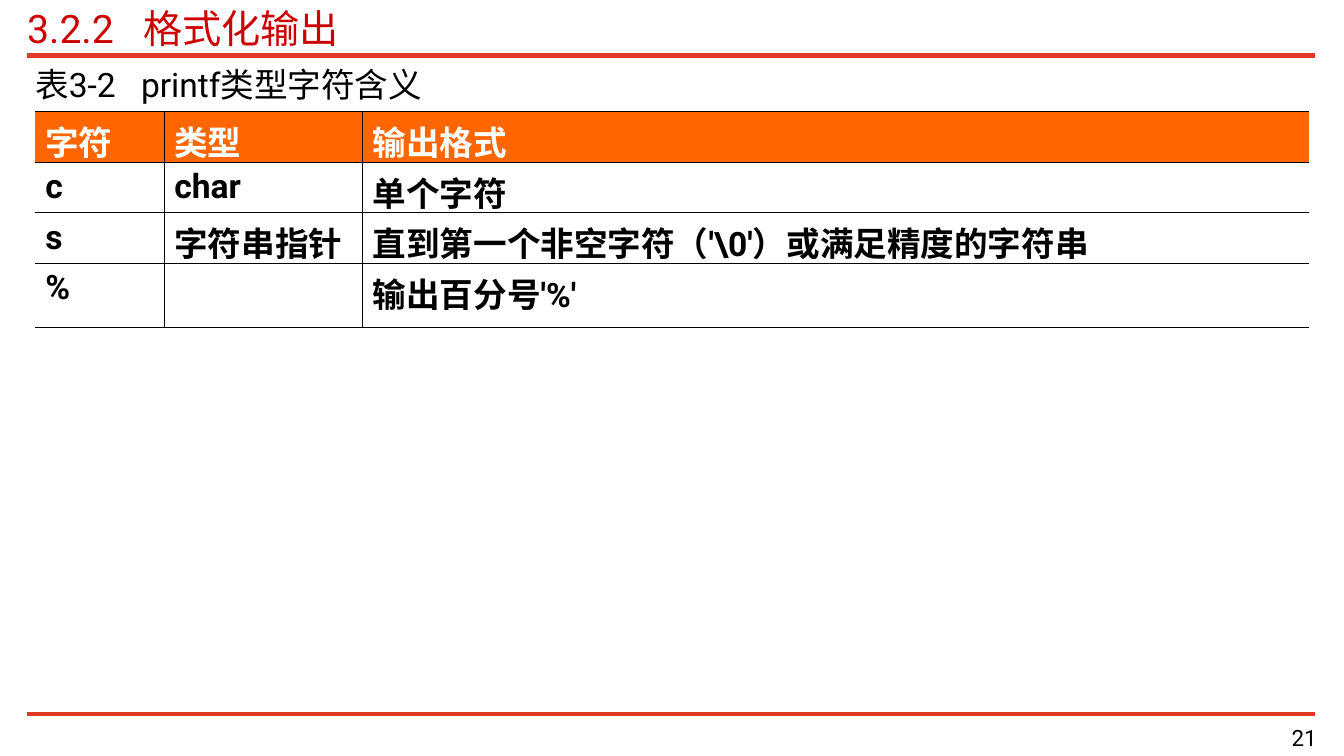
from lxml import etree
from pptx import Presentation
from pptx.dml.color import RGBColor
from pptx.enum.shapes import MSO_CONNECTOR
from pptx.enum.text import MSO_ANCHOR, PP_ALIGN
from pptx.oxml.ns import qn
from pptx.util import Inches, Pt

# Content
TITLE = "3.2.2\t格式化输出"
CAPTION = "表3-2\tprintf类型字符含义"
PAGE = "21"
ROWS = [
    ("字符", "类型", "输出格式"),
    ("c", "char", "单个字符"),
    ("s", "字符串指针", "直到第一个非空字符（'\\0'）或满足精度的字符串"),
    ("%", "", "输出百分号'%'"),
]
COLUMN_WIDTHS = (1.28, 1.97, 9.39)
ROW_HEIGHTS = (0.5, 0.5, 0.5, 0.64)
RULES = [(0.55, 4), (7.08, 3)]  # height on the slide, line width
FONT = "Roboto"
BLACK, WHITE, RED, RULE_RED, ORANGE = "000000", "FFFFFF", "CC0000", "E13A23", "FF6600"


def rgb(code):
    return RGBColor.from_string(code)


def style(paragraph, size, color, bold=False):
    for run in paragraph.runs:
        run.font.name, run.font.size, run.font.bold = FONT, Pt(size), bold
        run.font.color.rgb = rgb(color)


def add_label(box, text, size, color, tab=None, align=PP_ALIGN.LEFT):
    frame = slide.shapes.add_textbox(*map(Inches, box)).text_frame
    frame.word_wrap = True
    frame.vertical_anchor = MSO_ANCHOR.MIDDLE
    frame.margin_left = frame.margin_right = frame.margin_top = frame.margin_bottom = 0
    frame.text = text
    paragraph = frame.paragraphs[0]
    paragraph.alignment = align
    if tab:
        stops = etree.SubElement(paragraph._p.get_or_add_pPr(), qn("a:tabLst"))
        etree.SubElement(stops, qn("a:tab"), pos=str(Inches(tab)), algn="l")
    style(paragraph, size, color)


def set_borders(cell, widths):
    """Draw the given sides; a width of None leaves the side open."""
    properties = cell._tc.get_or_add_tcPr()
    for index, (side, width) in enumerate(widths.items()):
        line = etree.Element(qn("a:" + side), w=str(Pt(width or 0)))
        if width:
            fill = etree.SubElement(line, qn("a:solidFill"))
            etree.SubElement(fill, qn("a:srgbClr"), val=BLACK)
        else:
            etree.SubElement(line, qn("a:noFill"))
        properties.insert(index, line)


presentation = Presentation()
presentation.slide_width, presentation.slide_height = Inches(13.34), Inches(7.5)
slide = presentation.slides.add_slide(presentation.slide_layouts[6])

# Red rules
for y, width in RULES:
    rule = slide.shapes.add_connector(
        MSO_CONNECTOR.STRAIGHT, Inches(0.27), Inches(y), Inches(13.05), Inches(y))
    rule.line.color.rgb = rgb(RULE_RED)
    rule.line.width = Pt(width)
    etree.SubElement(rule._element.spPr, qn("a:effectLst"))

# Title, table caption and page number
add_label((0.27, 0.04, 12.78, 0.47), TITLE, 28, RED, tab=1.15)
add_label((0.35, 0.63, 12.64, 0.4), CAPTION, 24, BLACK, tab=1.05)
add_label((10.39, 7.16, 2.68, 0.31), PAGE, 16, BLACK, align=PP_ALIGN.RIGHT)

# Table of type characters
last_row, last_column = len(ROWS) - 1, len(COLUMN_WIDTHS) - 1
table = slide.shapes.add_table(
    len(ROWS), len(COLUMN_WIDTHS), Inches(0.35), Inches(1.11),
    Inches(sum(COLUMN_WIDTHS)), Inches(sum(ROW_HEIGHTS))).table
for column, width in zip(table.columns, COLUMN_WIDTHS):
    column.width = Inches(width)
for r, (texts, height) in enumerate(zip(ROWS, ROW_HEIGHTS)):
    table.rows[r].height = Inches(height)
    for c, text in enumerate(texts):
        cell = table.cell(r, c)
        cell.text = text
        style(cell.text_frame.paragraphs[0], 24, BLACK if r else WHITE, bold=True)
        if r == 0:
            cell.fill.solid()
            cell.fill.fore_color.rgb = rgb(ORANGE)
        else:
            cell.fill.background()
        set_borders(cell, {
            "lnL": 0.45 if c > 0 else None,
            "lnR": 0.45 if c < last_column else None,
            "lnT": 0.62 if r < 2 else 0.45,
            "lnB": 0.62 if r in (0, last_row) else 0.45,
        })

presentation.save("out.pptx")
